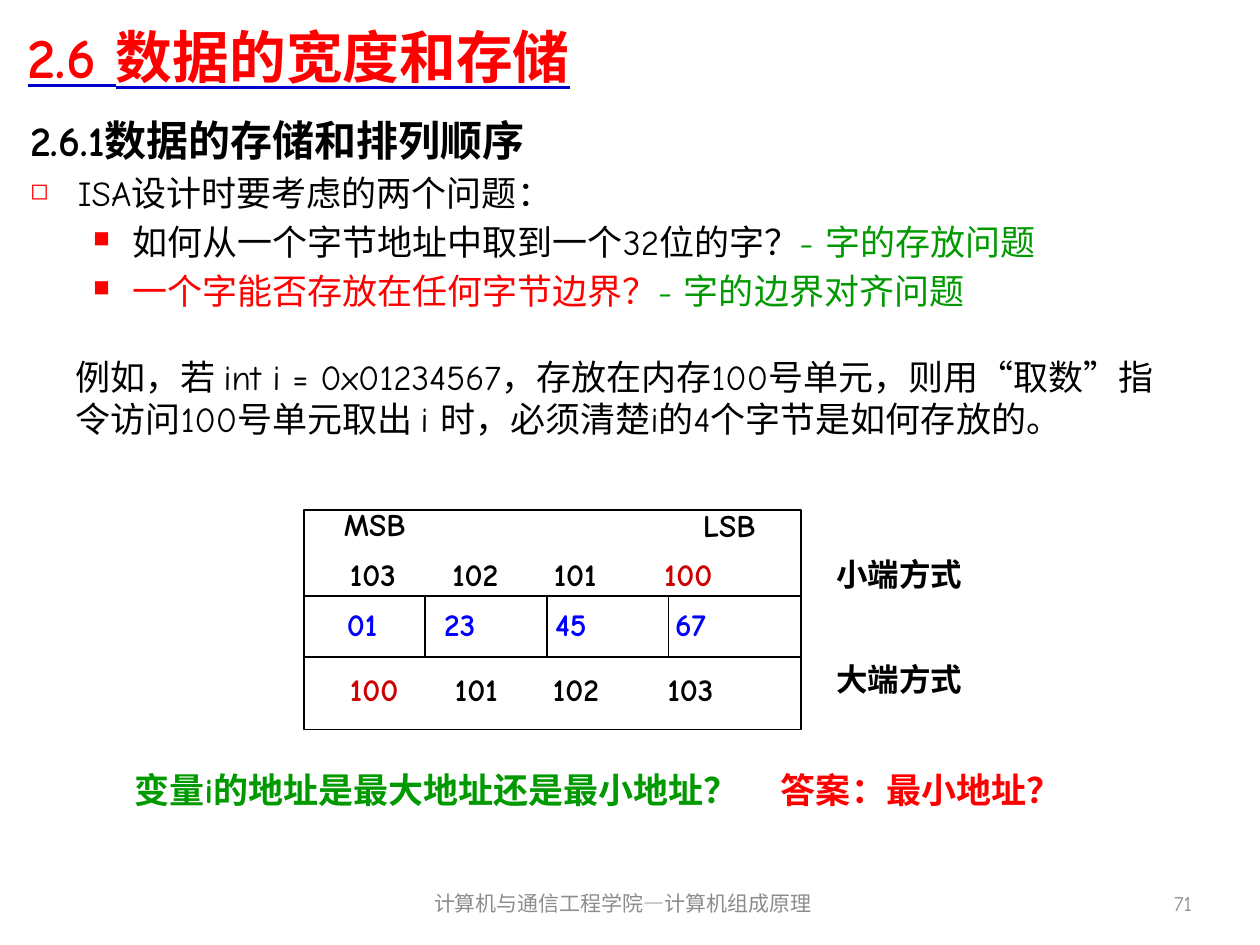
from lxml import etree
from pptx import Presentation
from pptx.dml.color import RGBColor
from pptx.enum.shapes import MSO_CONNECTOR, MSO_SHAPE
from pptx.enum.text import MSO_ANCHOR, MSO_AUTO_SIZE, PP_ALIGN
from pptx.oxml.ns import qn
from pptx.util import Pt

LEFT, CENTER, RIGHT = PP_ALIGN.LEFT, PP_ALIGN.CENTER, PP_ALIGN.RIGHT
TOP, MIDDLE = MSO_ANCHOR.TOP, MSO_ANCHOR.MIDDLE
NO_FIT = MSO_AUTO_SIZE.NONE
RECT, STRAIGHT = MSO_SHAPE.RECTANGLE, MSO_CONNECTOR.STRAIGHT

FONT = "Comic Neue"
COLORS = {"black": "000000", "red": "FF0000", "green": "009900", "blue": "0000FF",
          "dark_red": "CC0000", "underline": "0000CC", "grey": "8C8C8C"}
WIDE, TIGHT = (7.2, 3.6), (5, 2.2)

TITLE = "2.6 数据的宽度和存储"
OUTLINE = [
    (None, [("2.6.1数据的存储和排列顺序", "black")]),
    (("◻", 0, 27.4, -27.4), [("ISA设计时要考虑的两个问题：", "black")]),
    (("■", 1, 58.3, -22.3), [("如何从一个字节地址中取到一个32位的字？", "black"),
                             ("- 字的存放问题", "green")]),
    (("■", 1, 58.3, -22.3), [("一个字能否存放在任何字节边界？", "red"),
                             ("- 字的边界对齐问题", "green")]),
]
EXAMPLE = ("例如，若 int i = 0x01234567，存放在内存100号单元，则用“取数”指令访问"
           "100号单元取出 i 时，必须清楚i的4个字节是如何存放的。")
NUMBER_ROWS = [
    ((195, 318, 230, 23), (58.5, 116.5, 179.5), 0.85,
     [("103\t102\t101\t", "black"), ("100", "dark_red")]),
    ((193.3, 343.5, 230, 26), (55.5, 119, 187.5), 1.0,
     [("01\t23\t45\t67", "blue")]),
    ((195, 383.8, 230, 23), (60, 116, 181.5), 0.85,
     [("100", "dark_red"), ("\t101\t102\t103", "black")]),
]
LABELS = [
    ("MSB", 191.5, 289.5, 73.5), ("LSB", 396.7, 290.2, 61.2),
    ("小端方式", 473, 318, 96.5), ("大端方式", 473, 378, 96.5),
]
QUESTIONS = [
    ("变量i的地址是最大地址还是最小地址？", "green", 69.8, 370),
    ("答案：最小地址？", "red", 439.2, 211.7),
]
FOOTERS = [
    ("计算机与通信工程学院—计算机组成原理", 222.5, 267, CENTER),
    ("71", 520.5, 167.8, RIGHT),
]
GRID_X, GRID_W, CELL_W = 173.5, 284.4, 69.5
GRID_Y, GRID_H, BYTES_Y, BYTES_H = 291.6, 125.3, 340.6, 35


def set_all(target, values):
    for name, value in values.items():
        setattr(target, name, value)


def setup_frame(tf, margins=WIDE, anchor=TOP):
    side, end = map(Pt, margins)
    set_all(tf, {"word_wrap": True, "auto_size": NO_FIT, "vertical_anchor": anchor,
                 "margin_left": side, "margin_right": side,
                 "margin_top": end, "margin_bottom": end})


def add_box(box, margins=WIDE, anchor=TOP):
    tf = slide.shapes.add_textbox(*map(Pt, box)).text_frame
    setup_frame(tf, margins, anchor)
    return tf


def fill(p, runs, size, bold=False, **paragraph_format):
    set_all(p, {"alignment": LEFT, **paragraph_format})
    for text, color in runs:
        r = p.add_run()
        r.text = text
        set_all(r.font, {"name": FONT, "size": Pt(size), "bold": bold})
        r.font.color.rgb = RGBColor.from_string(COLORS[color])


def add_child(parent, tag, **attributes):
    return etree.SubElement(parent, qn(tag), attributes)


def set_bullet(p, char, level, margin, indent):
    p.level = level
    pPr = p._p.get_or_add_pPr()
    pPr.set("marL", str(Pt(margin)))
    pPr.set("indent", str(Pt(indent)))
    add_child(add_child(pPr, "a:buClr"), "a:srgbClr", val=COLORS["red"])
    add_child(pPr, "a:buSzPct", val="65000")
    add_child(pPr, "a:buChar", char=char)


def set_tabs(p, stops):
    tabs = add_child(p._p.get_or_add_pPr(), "a:tabLst")
    for stop in stops:
        add_child(tabs, "a:tab", pos=str(Pt(stop)), algn="l")


def style_line(line):
    line.color.rgb = RGBColor.from_string(COLORS["black"])
    line.width = Pt(1)


prs = Presentation()
set_all(prs, {"slide_width": Pt(720), "slide_height": Pt(540)})
slide = prs.slides.add_slide(prs.slide_layouts[5])

title = slide.shapes.title
set_all(title, dict(zip(("left", "top", "width", "height"),
                        map(Pt, (8.6, 15.1, 648, 33.8)))))
setup_frame(title.text_frame, anchor=MIDDLE)
p = title.text_frame.paragraphs[0]
fill(p, [(TITLE, "red")], 32.4, True)
font = p.runs[0].font
font.underline = True
underline = add_child(add_child(font._element, "a:uFill"), "a:solidFill")
add_child(underline, "a:srgbClr", val=COLORS["underline"])
font._element.find(qn("a:latin")).addprevious(underline.getparent())

tf = add_box((10.1, 61.9, 648, 135))
for i, (bullet, runs) in enumerate(OUTLINE):
    p = tf.add_paragraph() if i else tf.paragraphs[0]
    if bullet:
        set_bullet(p, *bullet)
    fill(p, runs, 20 if i else 24, not i, space_before=Pt(4 if i else 0))

tf = add_box((38.2, 200.9, 629.3, 77), TIGHT)
fill(tf.paragraphs[0], [(EXAMPLE, "black")], 20)

for y, h in ((GRID_Y, GRID_H), (BYTES_Y, BYTES_H)):
    s = slide.shapes.add_shape(RECT, *map(Pt, (GRID_X, y, GRID_W, h)))
    s.shadow.inherit = False
    s.fill.background()
    style_line(s.line)

for i in range(1, 4):
    x = GRID_X + i * CELL_W
    s = slide.shapes.add_connector(STRAIGHT, *map(Pt, (x, BYTES_Y, x, BYTES_Y + BYTES_H)))
    style_line(s.line)
    add_child(s._element.spPr, "a:effectLst")

for box, stops, spacing, runs in NUMBER_ROWS:
    p = add_box(box, TIGHT).paragraphs[0]
    set_tabs(p, stops)
    fill(p, runs, 18, True, line_spacing=spacing)

for text, x, y, w in LABELS:
    tf = add_box((x, y, w, 22.6), TIGHT)
    fill(tf.paragraphs[0], [(text, "black")], 18, True, line_spacing=0.85)

for text, color, x, w in QUESTIONS:
    tf = add_box((x, 430.6, w, 36))
    fill(tf.paragraphs[0], [(text, color)], 20, True, line_spacing=1.2)

for text, x, w, align in FOOTERS:
    tf = add_box((x, 501.8, w, 28.8), anchor=MIDDLE)
    fill(tf.paragraphs[0], [(text, "grey")], 12, alignment=align)

prs.save("out.pptx")
